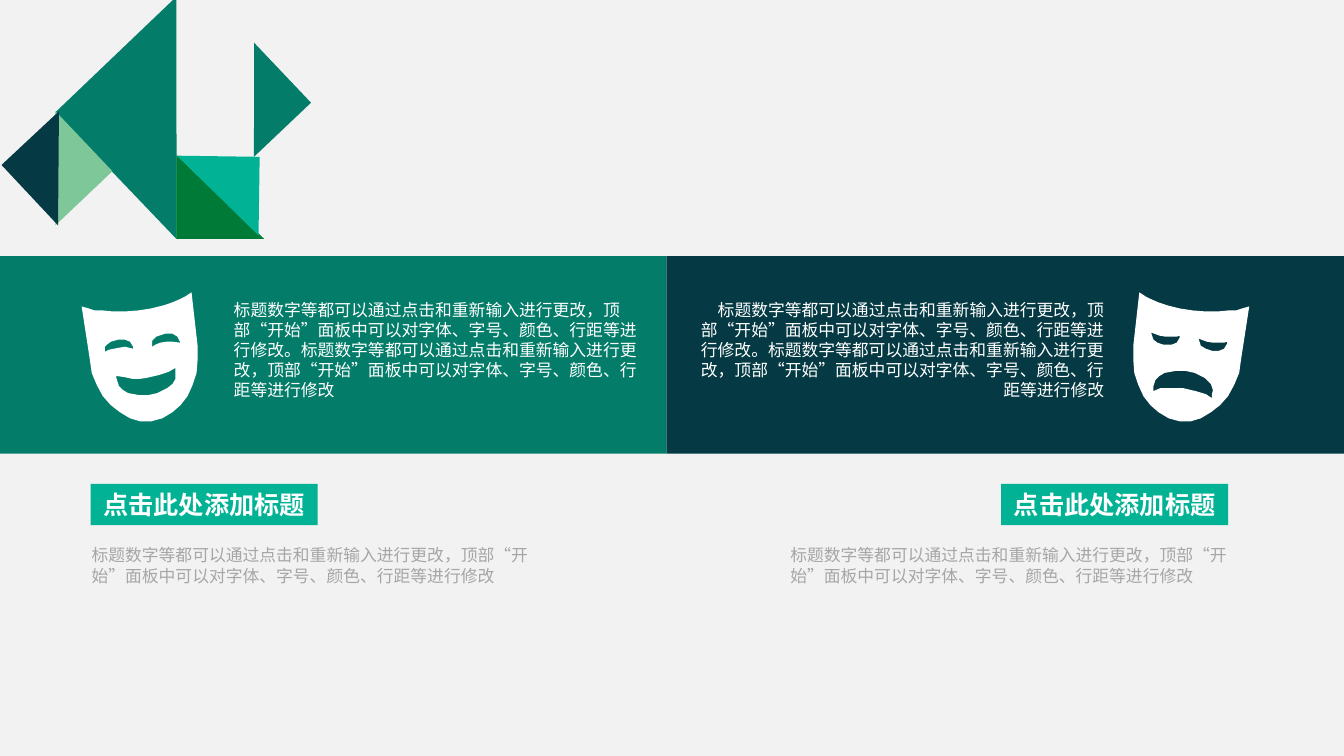
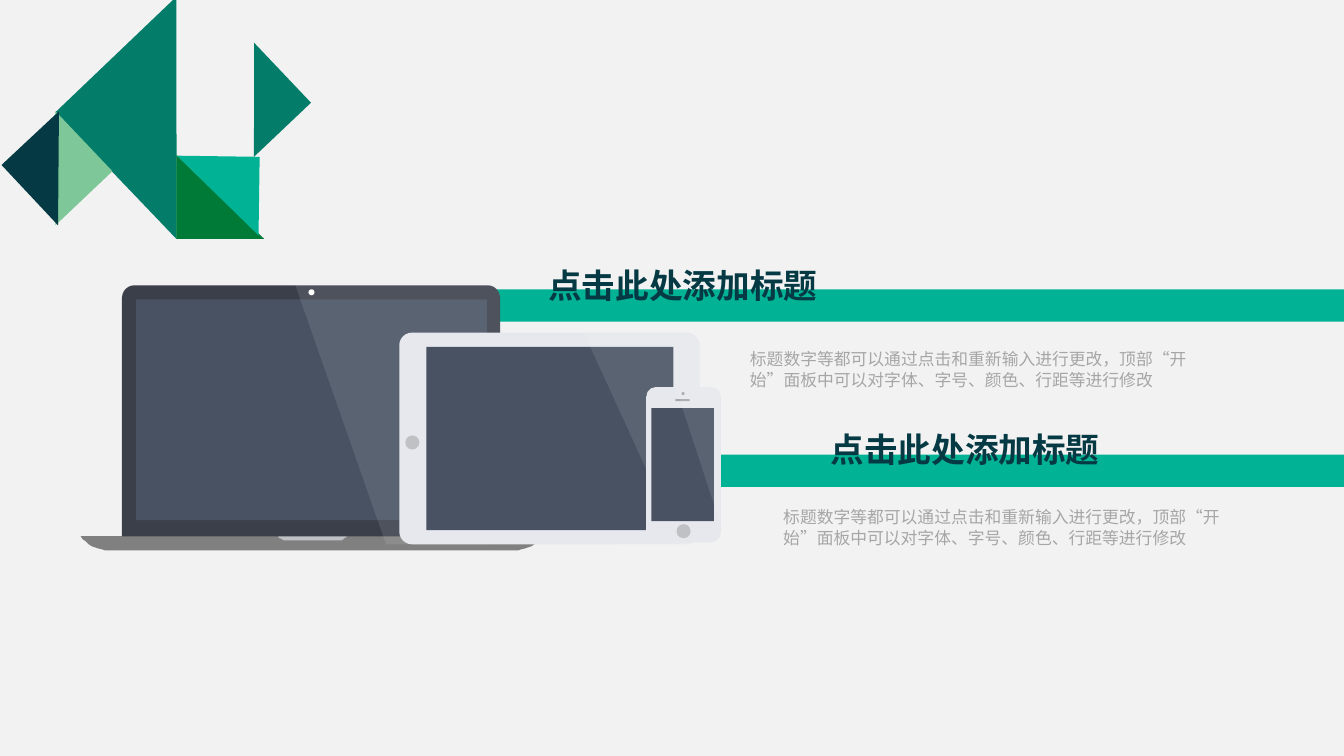
"""Build two origami-styled slides: a pair of theatre masks and a family of devices."""
from dataclasses import dataclass
from typing import Optional, Union

from lxml import etree
from pptx import Presentation
from pptx.dml.color import RGBColor
from pptx.enum.lang import MSO_LANGUAGE_ID as Lang
from pptx.enum.shapes import MSO_SHAPE as Preset
from pptx.enum.text import MSO_ANCHOR as Anchor, MSO_AUTO_SIZE as AutoSize, PP_ALIGN as Align
from pptx.oxml.ns import qn
from pptx.util import Inches, Pt

Point = tuple[int, int]
Contour = list[Point]


@dataclass(frozen=True)
class Theme:
    paper: str = "F2F2F2"
    white: str = "FFFFFF"
    teal: str = "037D6A"
    navy: str = "053A44"
    mint: str = "02B295"
    forest: str = "007A37"
    leaf: str = "7EC799"
    caption: str = "A6A6A6"
    base: str = "808080"
    lid: str = "3A3F4A"
    screen: str = "485262"
    casing: str = "E6E8ED"
    button: str = "BFC1C4"
    speaker: str = "A7A5A6"
    font: str = "Noto Sans CJK SC"
    body_size: float = 12
    label_size: float = 18
    heading_size: float = 24
    heading_line: float = 30


THEME = Theme()
HEADING = "点击此处添加标题"
SENTENCE = "标题数字等都可以通过点击和重新输入进行更改，顶部“开始”面板中可以对字体、字号、颜色、行距等进行修改"


@dataclass(frozen=True)
class Box:
    left: float
    top: float
    width: float
    height: float

    def lengths(self) -> tuple[int, int, int, int]:
        return Inches(self.left), Inches(self.top), Inches(self.width), Inches(self.height)


@dataclass(frozen=True)
class Part:
    box: Box
    color: str
    preset: Preset = Preset.RECTANGLE
    adjust: Optional[float] = None
    turn: float = 0


@dataclass(frozen=True)
class Outline:
    """Contours in hundredths of an inch."""
    contours: list[Contour]
    color: str
    opacity: int = 100


@dataclass(frozen=True)
class TextStyle:
    size: float
    color: str
    bold: bool = False
    align: Align = Align.LEFT
    line: Optional[float] = None


def curve(start: Point, first: Point, second: Point, end: Point, steps: int = 8) -> Contour:
    """Sample a cubic curve."""
    def at(t: float, axis: int) -> int:
        u = 1 - t
        return round(u**3 * start[axis] + 3 * u * u * t * first[axis]
                     + 3 * u * t * t * second[axis] + t**3 * end[axis])
    return [(at(i / steps, 0), at(i / steps, 1)) for i in range(steps + 1)]


def triangle(left: float, top: float, width: float, height: float, turn: float, color: str) -> Part:
    """Describe one folded right triangle."""
    return Part(Box(left, top, width, height), color, Preset.ISOSCELES_TRIANGLE, 1, turn)


ORIGAMI = [
    triangle(0.92, 0.3, 1.66, 1.74, 136.3, THEME.teal),
    triangle(1.77, 1.52, 0.83, 0.87, 90, THEME.forest),
    triangle(0.16, 1.26, 0.78, 0.82, 316.5, THEME.leaf),
    triangle(0.19, 1.26, 0.78, 0.82, 136.9, THEME.navy),
    triangle(2.13, 0.58, 0.78, 0.82, 316.5, THEME.teal),
    triangle(1.77, 1.53, 0.78, 0.82, 270.8, THEME.mint),
]

FACE = [
    (196, 343), (190, 290), (187, 292), (184, 294), (178, 297), (171, 300), (162, 303),
    (150, 306), (137, 308), (124, 309), (112, 309), (102, 308), (94, 308), (88, 306),
    (81, 304), (89, 356), (91, 370), (96, 382), (102, 393), (110, 402), (119, 409),
    (129, 415), (139, 418), (150, 418), (161, 415), (171, 409), (179, 402), (186, 393),
    (191, 382), (195, 370), (196, 357),
]
MIRROR_SUM = 1320
SAD_FACE = [(MIRROR_SUM - x, y) for x, y in FACE]
HAPPY_FEATURES = [
    [(104, 349), (104, 344), (106, 342), (110, 339), (117, 337), (124, 337), (129, 339),
     (132, 344), (132, 346), (124, 344), (118, 345), (108, 347)],
    [(147, 392), (138, 392), (127, 390), (122, 387), (118, 383), (116, 377), (115, 373),
     (123, 374), (132, 376), (138, 376), (145, 375), (158, 372), (167, 369), (174, 365),
     (174, 376), (171, 381), (166, 385), (156, 390)],
    [(165, 339), (159, 340), (154, 342), (151, 344), (151, 338), (155, 334), (164, 331),
     (171, 331), (176, 334), (178, 338), (179, 340), (171, 339)],
]
SAD_FEATURES = [
    [(1142, 331), (1142, 330), (1150, 333), (1156, 334), (1167, 334), (1170, 333),
     (1170, 335), (1167, 340), (1162, 342), (1154, 342), (1148, 340), (1144, 337)],
    [(1202, 391), (1202, 395), (1196, 391), (1186, 388), (1173, 385), (1151, 385),
     (1144, 388), (1144, 383), (1146, 377), (1150, 373), (1155, 370), (1166, 368),
     (1176, 368), (1185, 370), (1195, 375), (1201, 381), (1203, 387)],
    [(1217, 341), (1214, 346), (1209, 348), (1202, 348), (1196, 346), (1191, 343),
     (1189, 337), (1189, 336), (1197, 339), (1203, 340), (1214, 340), (1217, 339)],
]


def glare(contour: Contour) -> Outline:
    """Describe a translucent screen reflection."""
    return Outline([contour], THEME.white, 10)


LAPTOP = [
    Outline([[(80, 532), (538, 532), *curve((536, 535), (529, 542), (520, 546), (510, 546)),
              *curve((108, 546), (98, 546), (89, 542), (82, 535))]], THEME.base),
    Outline([[(276, 532), (344, 532), *curve((343, 533), (341, 535), (339, 536), (336, 536)),
              *curve((284, 536), (281, 536), (278, 535), (276, 533))]], THEME.button),
    Part(Box(1.21, 2.83, 3.75, 2.49), THEME.lid, Preset.ROUND_2_SAME_RECTANGLE, 0.05),
    Part(Box(1.35, 2.97, 3.48, 2.19), THEME.screen),
    glare([(293, 283), *curve((483, 283), (490, 283), (496, 288), (496, 295)),
           *curve((496, 528), (496, 534), (490, 540), (483, 540)), (383, 540)]),
    Part(Box(3.06, 2.87, 0.06, 0.06), THEME.white, Preset.OVAL),
]
TABLET = [
    Part(Box(3.96, 3.3, 2.98, 2.1), THEME.casing, Preset.ROUNDED_RECTANGLE, 0.06),
    Part(Box(4.23, 3.44, 2.45, 1.82), THEME.screen),
    Part(Box(4.02, 4.32, 0.14, 0.14), THEME.button, Preset.OVAL),
    glare([(579, 330), *curve((682, 330), (689, 330), (694, 334), (694, 339)),
           *curve((694, 532), (694, 536), (689, 540), (682, 540)), (675, 540)]),
]
PHONE = [
    Part(Box(6.41, 3.84, 0.74, 1.54), THEME.casing, Preset.ROUNDED_RECTANGLE, 0.13),
    Part(Box(6.46, 4.05, 0.62, 1.12), THEME.screen),
    Part(Box(6.71, 5.2, 0.14, 0.14), THEME.button, Preset.OVAL),
    Part(Box(6.76, 3.89, 0.03, 0.03), THEME.speaker, Preset.OVAL),
    Part(Box(6.7, 3.96, 0.14, 0.02), THEME.speaker, Preset.ROUNDED_RECTANGLE),
    glare([(670, 384), *curve((705, 384), (710, 384), (714, 388), (714, 393)), (714, 518)]),
]


def paint(shape, color: str, opacity: int = 100) -> None:
    """Give a shape a flat fill with no line or shadow."""
    shape.shadow.inherit = False
    shape.line.fill.background()
    shape.fill.solid()
    shape.fill.fore_color.rgb = RGBColor.from_string(color)
    if opacity < 100:
        tint = shape.element.spPr.find(qn("a:solidFill")).find(qn("a:srgbClr"))
        etree.SubElement(tint, qn("a:alpha")).set("val", str(opacity * 1000))


def draw_part(shapes, part: Part):
    """Draw a preset shape."""
    shape = shapes.add_shape(part.preset, *part.box.lengths())
    if part.adjust is not None:
        shape.adjustments[0] = part.adjust
    shape.rotation = part.turn
    paint(shape, part.color)
    return shape


def draw_outline(shapes, outline: Outline) -> None:
    """Draw a freeform from its contours."""
    first, *others = outline.contours
    builder = shapes.build_freeform(*first[0], scale=Inches(0.01))
    builder.add_line_segments(first[1:], close=True)
    for contour in others:
        builder.move_to(*contour[0])
        builder.add_line_segments(contour[1:], close=True)
    paint(builder.convert_to_shape(), outline.color, outline.opacity)


def draw_group(page, items: list[Union[Part, Outline]]) -> None:
    """Draw parts and outlines together in one group."""
    shapes = page.shapes.add_group_shape().shapes
    for item in items:
        if isinstance(item, Part):
            draw_part(shapes, item)
        else:
            draw_outline(shapes, item)


def write(frame, text: str, style: TextStyle) -> None:
    """Write one paragraph with one run."""
    frame.word_wrap = True
    para = frame.paragraphs[0]
    para.alignment = style.align
    if style.line:
        para.line_spacing = Pt(style.line)
    span = para.add_run()
    span.text = text
    font = span.font
    font.name, font.size, font.bold = THEME.font, Pt(style.size), style.bold
    font.color.rgb = RGBColor.from_string(style.color)
    font.language_id = Lang.SIMPLIFIED_CHINESE
    properties = span.font.color and para.runs[0]._r.get_or_add_rPr()
    etree.SubElement(properties, qn("a:ea")).set("typeface", THEME.font)


def draw_text(page, box: Box, text: str, style: TextStyle) -> None:
    """Draw a text box that grows with its text."""
    frame = page.shapes.add_textbox(*box.lengths()).text_frame
    frame.auto_size = AutoSize.SHAPE_TO_FIT_TEXT
    write(frame, text, style)


def draw_label(page, left: float) -> None:
    """Draw a filled heading label."""
    shape = draw_part(page.shapes, Part(Box(left, 4.8, 2.25, 0.41), THEME.mint))
    shape.text_frame.vertical_anchor = Anchor.MIDDLE
    write(shape.text_frame, HEADING, TextStyle(THEME.label_size, THEME.white, True, Align.CENTER))


def add_page(deck):
    """Add a blank page with the origami corner."""
    page = deck.slides.add_slide(deck.slide_layouts[6])
    draw_group(page, ORIGAMI)
    return page


def draw_masks(page) -> None:
    """Draw the two mask panels and the captions below them."""
    draw_part(page.shapes, Part(Box(6.61, 2.54, 6.73, 1.96), THEME.navy))
    draw_part(page.shapes, Part(Box(0, 2.54, 6.61, 1.96), THEME.teal))
    sides = [([FACE, *HAPPY_FEATURES], 2.22, Align.LEFT, 0.9, 0.81),
             ([SAD_FACE, *SAD_FEATURES], 6.79, Align.RIGHT, 9.93, 7.74)]
    caption = TextStyle(THEME.body_size, THEME.caption, line=14.4)
    for contours, text_left, align, label_left, caption_left in sides:
        draw_outline(page.shapes, Outline(contours, THEME.white))
        panel = TextStyle(THEME.body_size, THEME.white, align=align, line=14.4)
        draw_text(page, Box(text_left, 2.92, 4.26, 1.31), f"{SENTENCE}。{SENTENCE}", panel)
        draw_label(page, label_left)
        draw_text(page, Box(caption_left, 5.36, 4.66, 0.5), SENTENCE, caption)


def draw_devices(page) -> None:
    """Draw the devices with two headed bands."""
    for left, top in ((5.53, 4.51), (4.83, 2.87)):
        draw_part(page.shapes, Part(Box(left, top, 13.33 - left, 0.32), THEME.mint))
    for device in (LAPTOP, TABLET, PHONE):
        draw_group(page, device)
    heading = TextStyle(THEME.heading_size, THEME.navy, True, line=THEME.heading_line)
    caption = TextStyle(THEME.body_size, THEME.caption, line=15)
    for heading_left, heading_top, caption_left, caption_top in (
            (5.34, 2.56, 7.34, 3.4), (8.14, 4.19, 7.67, 4.97)):
        draw_text(page, Box(heading_left, heading_top, 3.19, 0.57), HEADING, heading)
        draw_text(page, Box(caption_left, caption_top, 4.8, 0.5), SENTENCE, caption)


def main() -> None:
    """Build and save the deck."""
    deck = Presentation()
    deck.slide_width, deck.slide_height = Inches(13.33), Inches(7.5)
    backdrop = deck.slide_master.background.fill
    backdrop.solid()
    backdrop.fore_color.rgb = RGBColor.from_string(THEME.paper)
    draw_masks(add_page(deck))
    draw_devices(add_page(deck))
    deck.save("out.pptx")


if __name__ == "__main__":
    main()
